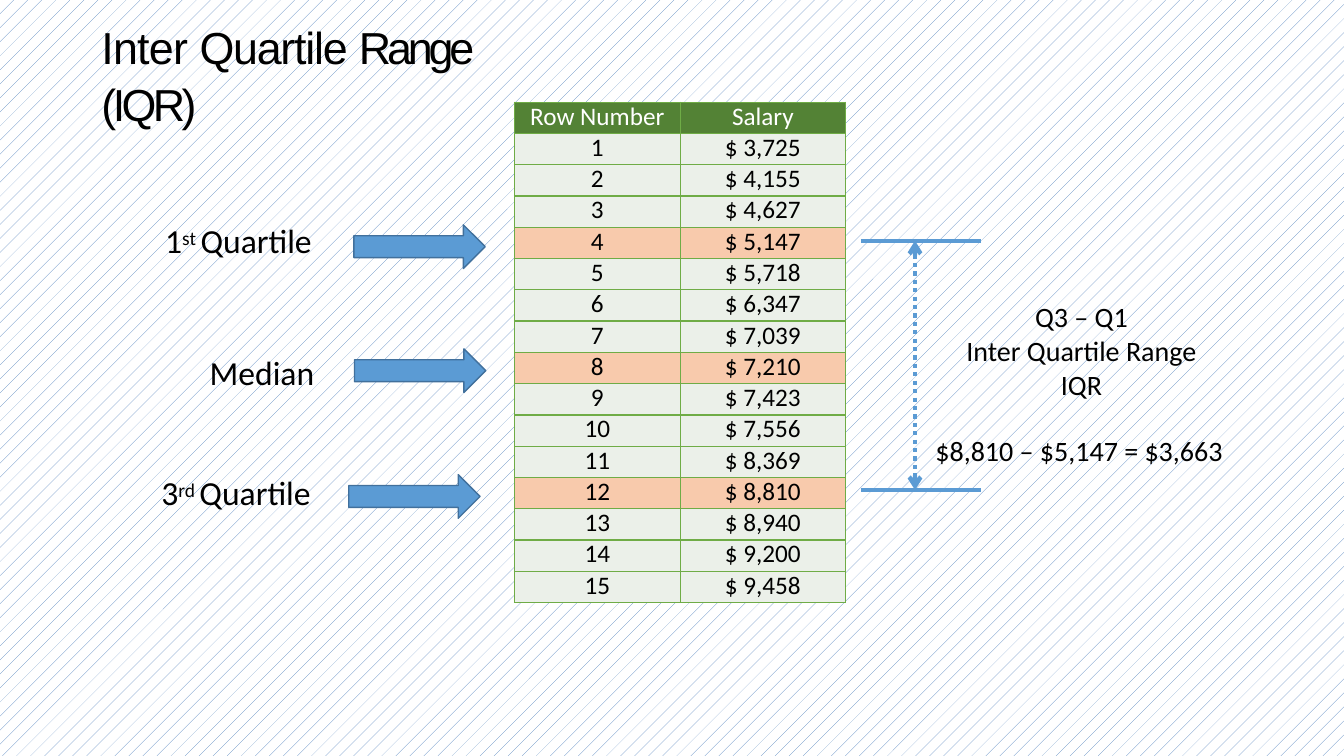
from pptx import Presentation
from pptx.dml.color import RGBColor
from pptx.enum.dml import MSO_LINE, MSO_PATTERN
from pptx.enum.shapes import MSO_CONNECTOR, MSO_SHAPE
from pptx.enum.text import MSO_ANCHOR, PP_ALIGN
from pptx.oxml.ns import qn
from pptx.util import Pt
from lxml.etree import SubElement

BLACK = RGBColor(0x00, 0x00, 0x00)
WHITE = RGBColor(0xFF, 0xFF, 0xFF)
PATTERN_BLUE = RGBColor(0x4F, 0x81, 0xBD)
BLUE = RGBColor(0x5B, 0x9B, 0xD4)
DARK_BLUE = RGBColor(0x41, 0x70, 0x9C)
HEADER_GREEN = RGBColor(0x53, 0x82, 0x35)
PALE_GREEN = RGBColor(0xEB, 0xF0, 0xE9)
ORANGE = RGBColor(0xF8, 0xCA, 0xAC)
BORDER_GREEN = "6FAC46"

deck = Presentation()
deck.slide_width, deck.slide_height = Pt(960), Pt(540)
page = deck.slides.add_slide(deck.slide_layouts[6])

# Background
background = page.background.fill
background.patterned()
background.pattern = MSO_PATTERN.PERCENT_5
background.fore_color.rgb = PATTERN_BLUE
background.back_color.rgb = WHITE


def add_text(left, top, width, height, lines, size, font="Calibri", align=PP_ALIGN.LEFT):
    """Each line is a list of (text, run attributes) pairs."""
    box = page.shapes.add_textbox(Pt(left), Pt(top), Pt(width), Pt(height))
    frame = box.text_frame
    frame.word_wrap = True
    frame.margin_left = frame.margin_right = frame.margin_bottom = 0
    frame.margin_top = Pt(1)
    for index, line in enumerate(lines):
        para = frame.paragraphs[0] if index == 0 else frame.add_paragraph()
        para.alignment = align
        para.space_before = Pt(1 if index == 0 else 0)
        for text, attributes in line:
            span = para.add_run()
            span.text = text
            span.font.name, span.font.size = font, Pt(size)
            span.font.color.rgb = BLACK
            for name, value in attributes.items():
                span._r.get_or_add_rPr().set(name, value)
    return box


def add_line(x1, y1, x2, y2):
    line = page.shapes.add_connector(MSO_CONNECTOR.STRAIGHT, Pt(x1), Pt(y1), Pt(x2), Pt(y2))
    line.line.color.rgb = BLUE
    line.line.width = Pt(3)
    SubElement(line._element.spPr, qn("a:effectLst"))
    return line


# Title, with the letter spacing of each word
title = add_text(72.5, 11.5, 333, 40, [[
    ("Inter ", {"spc": "-60"}), ("Quartile ", {"spc": "-90"}),
    ("Range ", {"spc": "-300"}), ("(IQR)", {"spc": "-260"}),
]], 32, "Arial")
title.text_frame.paragraphs[0].line_spacing = 1.05

# Salary table
salaries = [3725, 4155, 4627, 5147, 5718, 6347, 7039, 7210,
            7423, 7556, 8369, 8810, 8940, 9200, 9458]
quartile_rows = (4, 8, 12)
rows = [("Row Number", "Salary")]
rows += [(str(number), f"$ {salary:,}") for number, salary in enumerate(salaries, 1)]
table = page.shapes.add_table(len(rows), 2, Pt(367.5), Pt(73), Pt(236.6), Pt(357.6)).table
table.first_row = table.horz_banding = False
for column in table.columns:
    column.width = Pt(118.3)
for number, values in enumerate(rows):
    table.rows[number].height = Pt(22.35)
    for column, value in enumerate(values):
        cell = table.cell(number, column)
        cell.margin_left = cell.margin_right = cell.margin_top = cell.margin_bottom = 0
        cell.vertical_anchor = MSO_ANCHOR.TOP
        para = cell.text_frame.paragraphs[0]
        para.text = value
        para.alignment = PP_ALIGN.CENTER
        para.line_spacing = Pt(21.2)
        font = para.runs[0].font
        font.name, font.size, font.bold = "Calibri", Pt(18), False
        font.color.rgb = WHITE if number == 0 else BLACK
        # Borders come before the fill in the cell properties
        properties = cell._tc.get_or_add_tcPr()
        for side in ("a:lnL", "a:lnR", "a:lnT", "a:lnB"):
            border = SubElement(properties, qn(side), w=str(Pt(1)))
            SubElement(SubElement(border, qn("a:solidFill")), qn("a:srgbClr"), val=BORDER_GREEN)
        cell.fill.solid()
        if number == 0:
            cell.fill.fore_color.rgb = HEADER_GREEN
        else:
            cell.fill.fore_color.rgb = ORANGE if number in quartile_rows else PALE_GREEN

# Labels and block arrows that point at the quartile rows
raised = {"baseline": "24000"}
labels = [
    (118, 156.2, [("1", {}), ("st ", raised), ("Quartile", {})], 252.8, 160.6),
    (149.8, 250.6, [("Median", {})], 253.2, 249.2),
    (115.2, 336.2, [("3", {}), ("rd ", raised), ("Quartile", {})], 249.1, 339),
]
for left, top, line, arrow_left, arrow_top in labels:
    add_text(left, top, 228 - left, 31, [line], 24)
    arrow = page.shapes.add_shape(MSO_SHAPE.RIGHT_ARROW, Pt(arrow_left), Pt(arrow_top),
                                  Pt(93.8), Pt(31.2))
    arrow.shadow.inherit = False
    arrow.fill.solid()
    arrow.fill.fore_color.rgb = BLUE
    arrow.line.color.rgb = DARK_BLUE
    arrow.line.width = Pt(1)

# Range marker: two bars joined by a dotted double arrow
first_quartile, third_quartile = 172, 350
for y in (first_quartile, third_quartile):
    add_line(615, y, 701, y)
span_arrow = add_line(653.6, first_quartile, 653.6, third_quartile)
span_arrow.line.dash_style = MSO_LINE.ROUND_DOT
for end in ("a:headEnd", "a:tailEnd"):
    SubElement(span_arrow.line._get_or_add_ln(), qn(end), type="arrow")

# Explanation of the range
explanation = ["Q3 – Q1", "Inter Quartile Range", "IQR"]
add_text(689, 213.2, 167, 74, [[(text, {})] for text in explanation], 20,
         align=PP_ALIGN.CENTER)
add_text(668.2, 308.9, 207.5, 26, [[("$8,810 – $5,147 = $3,663", {})]], 20)

deck.save("out.pptx")
